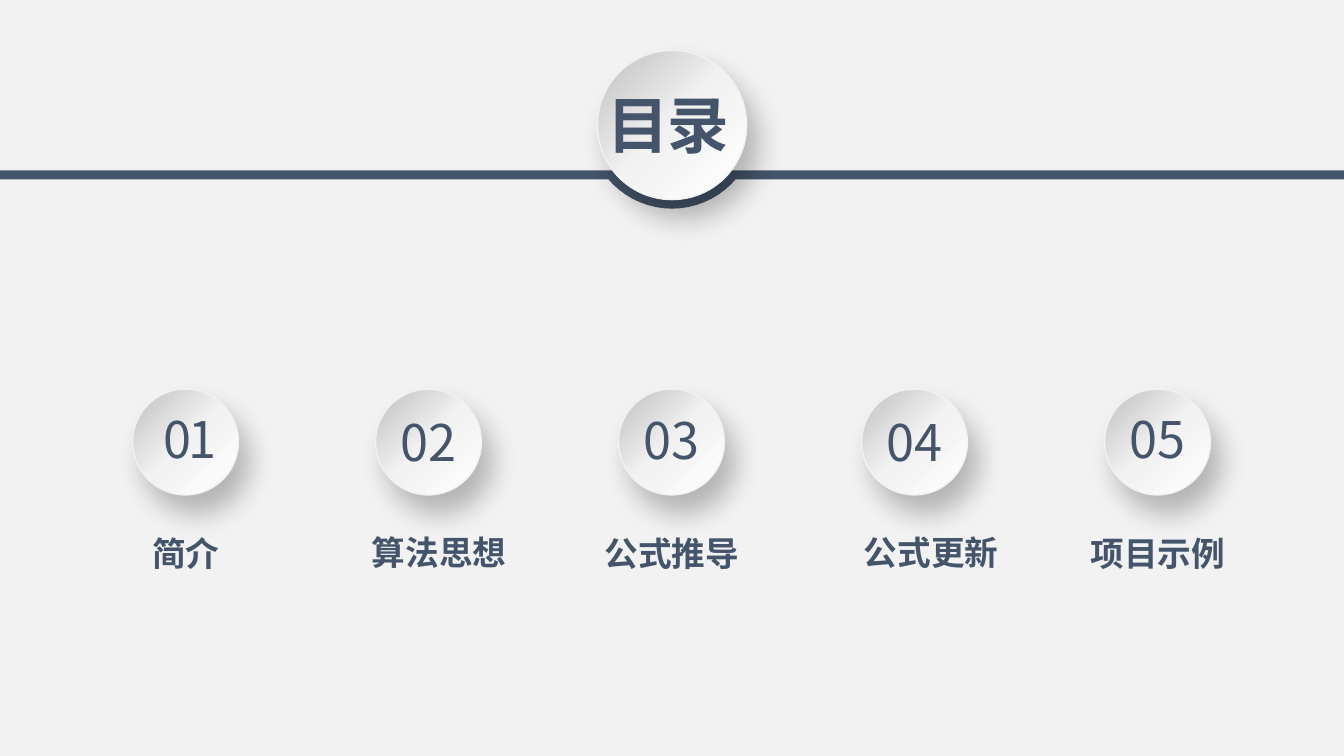
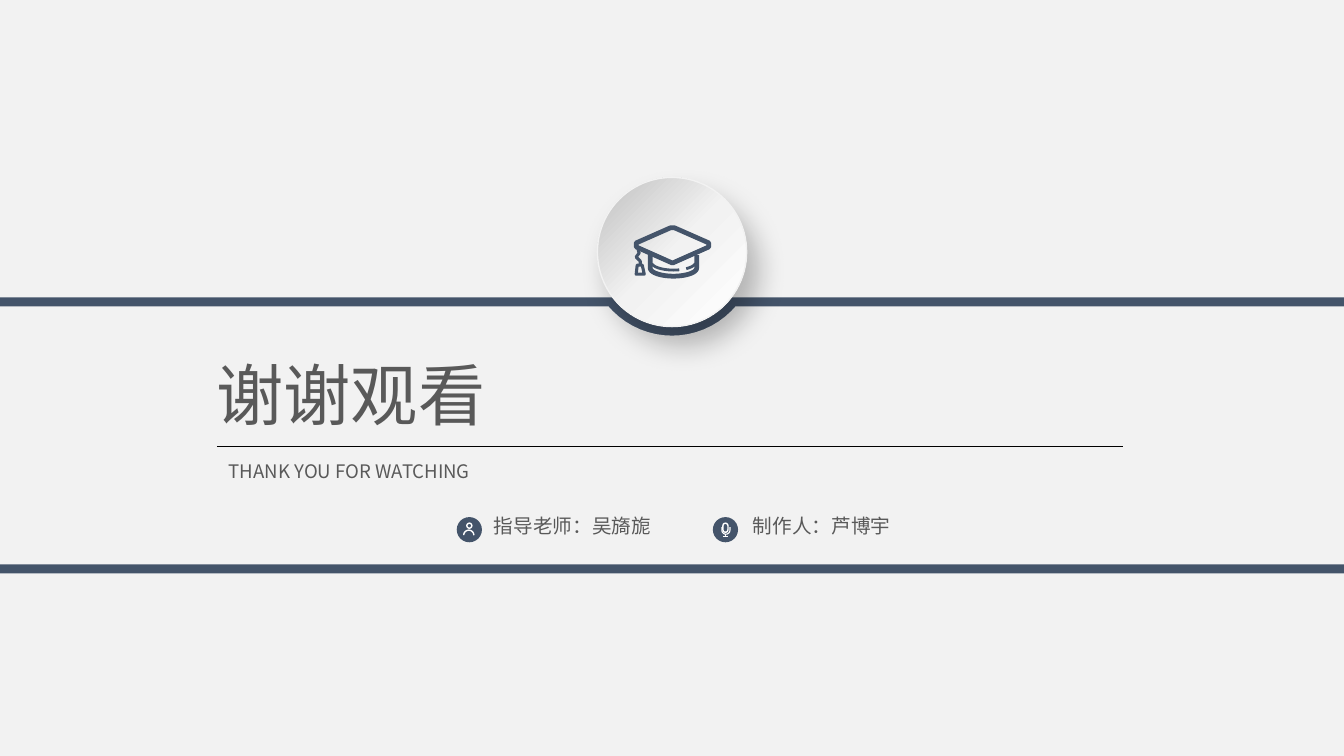
from math import cos, radians, sin, sqrt

from pptx import Presentation
from pptx import util as u
from pptx.dml.color import RGBColor
from pptx.enum import shapes, text
from pptx.oxml import parse_xml
from pptx.oxml.ns import qn

NAVY = RGBColor(0x44, 0x54, 0x6A)
PALE = RGBColor(0xF2, 0xF2, 0xF2)
GREY = RGBColor(0x59, 0x59, 0x59)
WHITE = RGBColor(0xFF, 0xFF, 0xFF)
BLACK = RGBColor(0, 0, 0)
FONT = "Noto Sans CJK SC"
WIDE, HIGH = 13.33, 7.5
MID = WIDE / 2
EDGE, SPAN = -0.01, 13.35
BAR = 0.09
NS = 'xmlns:a="http://schemas.openxmlformats.org/drawingml/2006/main"'

GRAD = f"""<a:gradFill {NS} rotWithShape="1"><a:gsLst>
<a:gs pos="0"><a:srgbClr val="BFBFBF"/></a:gs>
<a:gs pos="50000"><a:srgbClr val="F2F2F2"/></a:gs>
<a:gs pos="100000"><a:srgbClr val="FFFFFF"/></a:gs>
</a:gsLst><a:lin ang="2700000" scaled="0"/></a:gradFill>"""

SHADE = f"""<a:effectLst {NS}>
<a:outerShdw blurRad="{u.Pt(20)}" dist="{u.Pt(15)}" dir="3540000" algn="tl" rotWithShape="0">
<a:srgbClr val="000000"><a:alpha val="25000"/></a:srgbClr>
</a:outerShdw></a:effectLst>"""


# Basic parts
def paint(shape, fill=None, line=None, width=1):
    shape.shadow.inherit = False
    if fill is None:
        shape.fill.background()
    else:
        shape.fill.solid()
        shape.fill.fore_color.rgb = fill
    if line is None:
        shape.line.fill.background()
    else:
        shape.line.color.rgb = line
        shape.line.width = u.Pt(width)
    return shape


def preset(slide, kind, x, y, w, h, **look):
    box = [u.Inches(v) for v in (x, y, w, h)]
    return paint(slide.shapes.add_shape(kind, *box), **look)


def outline(slide, x, y, points, close=False, **look):
    dots = [(u.Inches(x + a), u.Inches(y + b)) for a, b in points]
    form = slide.shapes.build_freeform(*dots[0])
    form.add_line_segments(dots[1:], close=close)
    return paint(form.convert_to_shape(), **look)


def arc(cx, cy, rx, ry, start, stop, steps=32):
    turns = [radians(start + (stop - start) * i / steps) for i in range(steps + 1)]
    return [(cx + rx * cos(t), cy + ry * sin(t)) for t in turns]


def write(shape, words, size, color=NAVY, bold=False,
          align=text.PP_ALIGN.CENTER, track=0):
    frame = shape.text_frame
    frame.word_wrap = True
    frame.vertical_anchor = text.MSO_ANCHOR.MIDDLE
    frame.text = words
    para = frame.paragraphs[0]
    para.alignment = align
    run = para.runs[0]
    font = run.font
    font.name, font.size, font.bold = FONT, u.Pt(size), bold
    font.color.rgb = color
    props = run._r.get_or_add_rPr()
    east = parse_xml(f'<a:ea {NS} typeface="{FONT}"/>')
    props.find(qn("a:latin")).addnext(east)
    if track:
        props.set("spc", str(int(track * 100)))


def label(slide, words, x, y, w, h, size, **style):
    box = slide.shapes.add_textbox(*[u.Inches(v) for v in (x, y, w, h)])
    write(box, words, size, **style)


def ball(slide, x, y, size):
    disc = preset(slide, shapes.MSO_SHAPE.OVAL, x, y, size, size, line=PALE)
    props = disc._element.spPr
    props.replace(props.find(qn("a:noFill")), parse_xml(GRAD))
    props.replace(props.find(qn("a:effectLst")), parse_xml(SHADE))


# Shared band: the lower edge of a bar, with a bulge that cups the large ball
def cup():
    radius, drop = 0.83, 0.29
    half = sqrt(radius ** 2 - (radius - drop) ** 2)
    bulge = [(a, b) for a, b in arc(MID - EDGE, BAR + drop - radius, radius, radius, 0, 180)
             if b > BAR]
    return [(SPAN, BAR), (MID - EDGE + half, BAR), *bulge,
            (MID - EDGE - half, BAR), (0, BAR)]


def bar(slide, y):
    outline(slide, EDGE, y, [(0, 0), (SPAN, 0), *cup()], close=True, fill=NAVY)
    ball(slide, MID - 0.74, y - 1.19, 1.48)


def panel(slide, y, h):
    preset(slide, shapes.MSO_SHAPE.RECTANGLE, EDGE, y, SPAN, h, fill=NAVY)
    inner = [*cup(), (0, h - BAR), (SPAN, h - BAR)]
    outline(slide, EDGE, y, inner, close=True, fill=PALE)
    ball(slide, MID - 0.74, y - 1.19, 1.48)


def page(deck):
    slide = deck.slides.add_slide(deck.slide_layouts[6])
    slide.background.fill.solid()
    slide.background.fill.fore_color.rgb = PALE
    return slide


# Icons
def cap(slide, x, y):
    def draw(points, width, close=False):
        outline(slide, x, y, points, close, line=NAVY, width=width)

    draw([(0.03, 0.18), (0.37, 0.03), (0.41, 0.03), (0.75, 0.18), (0.75, 0.22),
          (0.39, 0.38), (0.03, 0.22)], 3.4, True)
    draw([(0.63, 0.3), *arc(0.4, 0.43, 0.23, 0.08, 0, 180), (0.17, 0.3)], 3.4)
    draw(arc(0.4, 0.37, 0.22, 0.08, 75, 170), 2)
    draw(arc(0.4, 0.37, 0.22, 0.08, 10, 55), 2)
    draw([(0.05, 0.25), (0.06, 0.28), (0.03, 0.32), (0.07, 0.36), (0.07, 0.39)], 2.2)
    draw([(0.04, 0.4), (0.09, 0.4), (0.11, 0.49), (0.03, 0.49)], 2.2, True)


def badge(slide, x, y):
    preset(slide, shapes.MSO_SHAPE.OVAL, x, y, 0.25, 0.25, fill=NAVY)


def person(slide, x, y):
    badge(slide, x, y)
    preset(slide, shapes.MSO_SHAPE.OVAL, x + 0.1, y + 0.06, 0.05, 0.05, line=WHITE)
    outline(slide, x, y, arc(0.12, 0.18, 0.05, 0.05, 180, 360), line=WHITE)


def mic(slide, x, y):
    badge(slide, x, y)
    head = preset(slide, shapes.MSO_SHAPE.ROUNDED_RECTANGLE,
                  x + 0.1, y + 0.06, 0.05, 0.09, line=WHITE)
    head.adjustments[0] = 0.5
    cradle = [(0.17, 0.1), *arc(0.13, 0.13, 0.04, 0.04, 0, 180), (0.09, 0.1)]
    for points in (cradle, [(0.13, 0.17), (0.13, 0.19)], [(0.1, 0.19), (0.15, 0.19)]):
        outline(slide, x, y, points, line=WHITE, width=0.8)


# Contents slide: number and name shifts are measured from each ball's centre
TOPICS = [
    ("01", "简介", 0.04, -0.04, 0, 0.86, -1.5),
    ("02", "算法思想", 0, -0.01, 0.1, 0.85, 0),
    ("03", "公式推导", 0, -0.03, 0, 0.86, 0),
    ("04", "公式更新", 0, -0.01, 0.16, 0.85, 0),
    ("05", "项目示例", 0, -0.04, 0, 0.86, 0),
]


def topic(slide, cx, cy, number, name, right, down, shift, below, track):
    ball(slide, cx - 0.53, cy - 0.52, 1.05)
    label(slide, number, cx + right - 0.43, cy + down - 0.35, 0.86, 0.71, 36, track=track)
    label(slide, name, cx + shift - 0.9, cy + below, 1.8, 0.5, 24, bold=True)


def contents(deck):
    slide = page(deck)
    bar(slide, 1.69)
    label(slide, "目录", 5.81, 0.81, 1.64, 0.84, 44, bold=True, track=-1.5)
    for i, row in enumerate(TOPICS):
        topic(slide, MID + (i - 2) * 2.41, 4.38, *row)


# Closing slide
def credit(slide, icon, x, y, gap, words):
    icon(slide, x, y)
    label(slide, words, x + gap, y - 0.09, 1.9, 0.34, 14, color=GREY,
          align=text.PP_ALIGN.LEFT)


def closing(deck):
    slide = page(deck)
    panel(slide, 2.95, 2.74)
    cap(slide, 6.28, 2.23)
    note = dict(color=GREY, align=text.PP_ALIGN.JUSTIFY)
    label(slide, "谢谢观看", 2.05, 3.45, 9.24, 0.91, 48, **note)
    motto = preset(slide, shapes.MSO_SHAPE.ROUNDED_RECTANGLE, 2.17, 4.51, 9.01, 0.33)
    motto.adjustments[0] = 0
    write(motto, "THANK YOU FOR WATCHING", 13.3, **note)
    rule = slide.shapes.add_connector(
        shapes.MSO_CONNECTOR.STRAIGHT,
        u.Inches(2.15), u.Inches(4.43), u.Inches(11.14), u.Inches(4.43))
    rule.line.color.rgb = BLACK
    rule.line.width = u.Pt(0.5)
    rule._element.spPr.append(parse_xml(f"<a:effectLst {NS}/>"))
    credit(slide, person, 4.53, 5.13, 0.27, "指导老师：吴旖旎")
    credit(slide, mic, 7.07, 5.13, 0.3, "制作人：芦博宇")


def main():
    deck = Presentation()
    deck.slide_width, deck.slide_height = u.Inches(WIDE), u.Inches(HIGH)
    contents(deck)
    closing(deck)
    deck.save("out.pptx")


if __name__ == "__main__":
    main()
